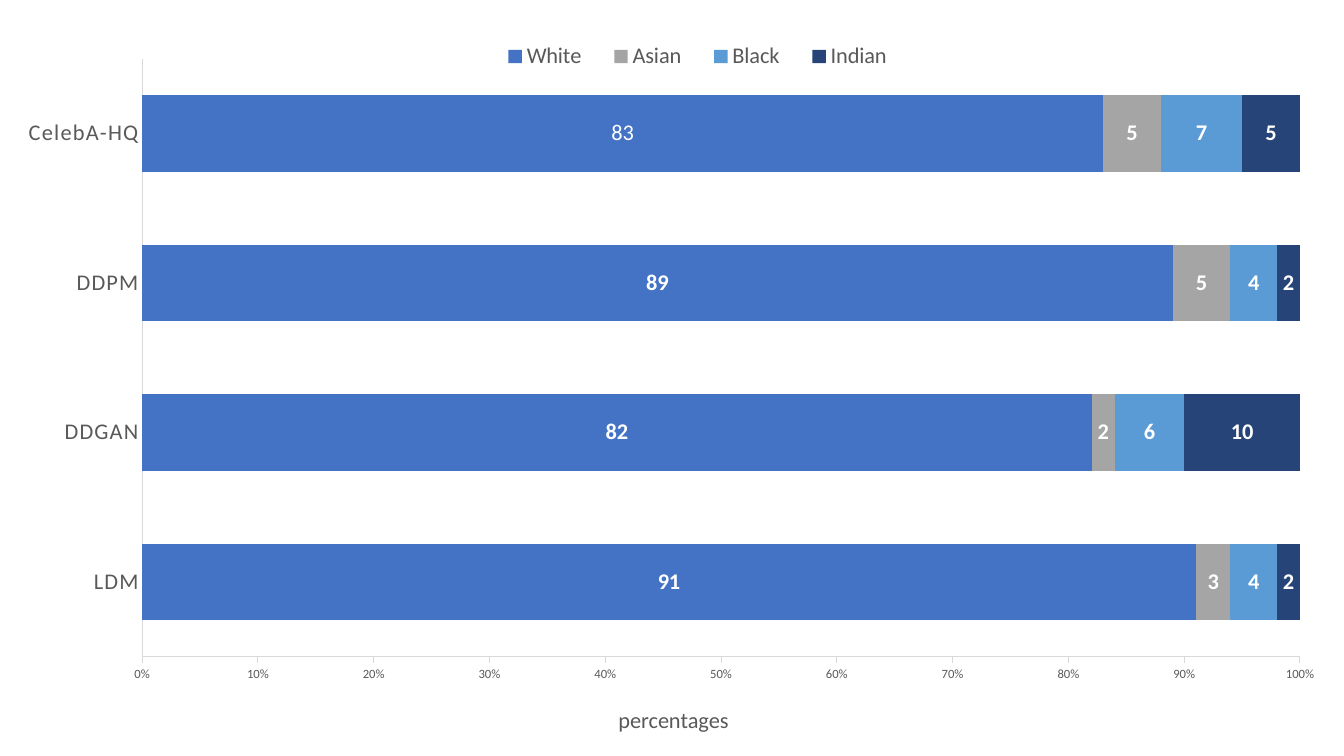
from lxml.etree import SubElement
from pptx import Presentation
from pptx.chart.data import CategoryChartData as ChartData
from pptx.dml.color import RGBColor as RGB
from pptx.enum.chart import XL_CHART_TYPE as Kind
from pptx.enum.chart import XL_LABEL_POSITION as Spot
from pptx.enum.chart import XL_LEGEND_POSITION as Side
from pptx.enum.chart import XL_TICK_MARK as Tick
from pptx.oxml.ns import qn
from pptx.util import Pt

GROUPS = ["LDM", "DDGAN", "DDPM", "CelebA-HQ"]
SHARES = {
    "White": ("4472C4", [91, 82, 89, 83]),
    "Asian": ("A5A5A5", [3, 2, 5, 5]),
    "Black": ("5B9BD5", [4, 6, 4, 7]),
    "Indian": ("264478", [2, 10, 2, 5]),
}


def tint(code):
    return RGB.from_string(code)


def style(font, size, color, bold=False, face="Calibri"):
    font.name = face
    font.size = Pt(size)
    font.bold = bold
    font.color.rgb = tint(color)


def write(frame, text, **form):
    para = frame.paragraphs[0]
    run = para.add_run()
    run.text = text
    style(run.font, **form)


def place(node, index, **spots):
    for old in node.findall(qn("c:layout")):
        node.remove(old)
    layout = SubElement(node, qn("c:layout"))
    node.insert(index, layout)
    manual = SubElement(layout, qn("c:manualLayout"))
    for name, value in spots.items():
        SubElement(manual, qn("c:" + name)).set("val", str(value))


class Deck:
    ink = "595959"
    rule = "D9D9D9"
    white = "FFFFFF"
    big = 16
    small = 9

    def __init__(self, wide, high):
        self.file = Presentation()
        self.file.slide_width = Pt(wide)
        self.file.slide_height = Pt(high)
        self.slide = self.file.slides.add_slide(self.file.slide_layouts[6])

    def chart(self, left, top, wide, high, groups, shares):
        data = ChartData(number_format="0")
        data.categories = groups
        for name, (_, values) in shares.items():
            data.add_series(name, values)
        frame = self.slide.shapes.add_chart(
            Kind.BAR_STACKED_100, Pt(left), Pt(top), Pt(wide), Pt(high), data)
        chart = frame.chart
        chart.has_title = False
        style(chart.font, 10, "000000")
        area = chart.plots[0]
        area.gap_width = 95
        area.overlap = 100
        area.vary_by_categories = False
        for series, (color, _) in zip(area.series, shares.values()):
            self.bar(series, color)
        place(chart._chartSpace.chart.plotArea, 0, layoutTarget="inner",
              xMode="edge", yMode="edge", x=0.106, y=0.078, w=0.863, h=0.793)
        return chart

    def bar(self, series, color):
        series.format.fill.solid()
        series.format.fill.fore_color.rgb = tint(color)
        labels = series.data_labels
        labels.show_value = True
        labels.position = Spot.CENTER
        style(labels.font, self.big, self.white, bold=True)

    def plain(self, series, index):
        label = series.points[index].data_label
        style(label.font, self.big, self.white)
        label.position = Spot.CENTER

    def axis(self, axis, size, tick):
        axis.has_major_gridlines = False
        axis.major_tick_mark = tick
        axis.minor_tick_mark = Tick.NONE
        axis.format.line.color.rgb = tint(self.rule)
        axis.format.line.width = Pt(0.75)
        style(axis.tick_labels.font, size, self.ink)

    def space(self, axis, gap):
        axis._element.find(".//" + qn("a:defRPr")).set("spc", str(gap))

    def title(self, axis, text):
        axis.has_title = True
        write(axis.axis_title.text_frame, text, size=self.big, color=self.ink)
        place(axis.axis_title._element, 1, xMode="edge", yMode="edge",
              x=0.458, y=0.93)

    def legend(self, chart):
        chart.has_legend = True
        legend = chart.legend
        legend.position = Side.TOP
        legend.include_in_layout = False
        style(legend.font, self.big, self.ink)
        place(legend._element, 1, xMode="edge", yMode="edge",
              x=0.36, y=0.05, w=0.32, h=0.05)


def main():
    deck = Deck(960, 540)
    chart = deck.chart(0, 0, 958.32, 538.56, GROUPS, SHARES)
    deck.plain(chart.plots[0].series[0], GROUPS.index("CelebA-HQ"))
    deck.axis(chart.category_axis, deck.big, Tick.NONE)
    deck.space(chart.category_axis, 100)
    scale = chart.value_axis
    deck.axis(scale, deck.small, Tick.OUTSIDE)
    scale.tick_labels.number_format = "0%"
    scale.tick_labels.number_format_is_linked = False
    deck.title(scale, "percentages")
    deck.legend(chart)
    deck.file.save("out.pptx")


if __name__ == "__main__":
    main()
